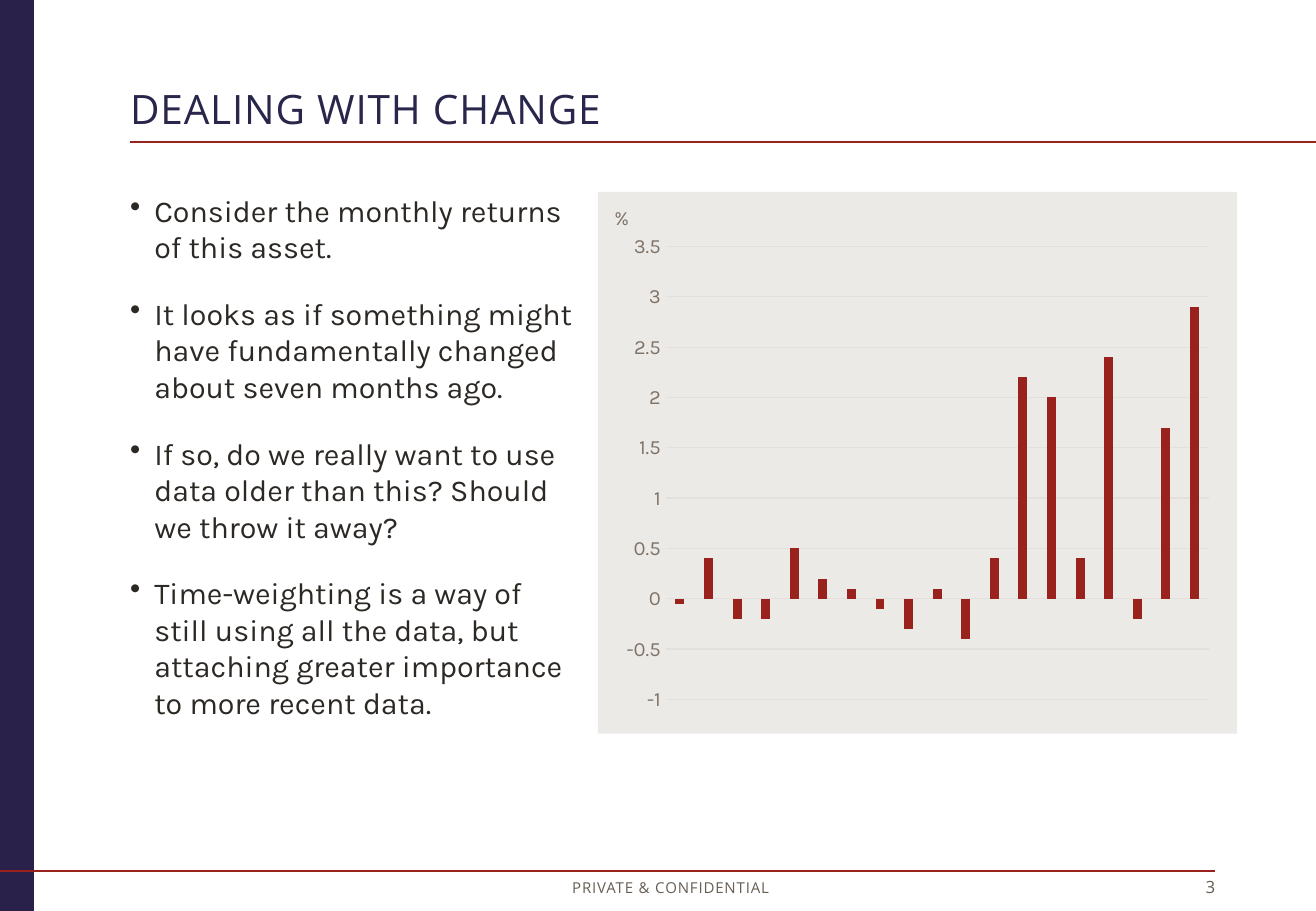
from lxml import etree
from pptx import Presentation, util as u
from pptx.chart.data import CategoryChartData
from pptx.dml.color import RGBColor
from pptx.enum import chart as ch, shapes, text
from pptx.oxml import parse_xml
from pptx.oxml.ns import nsdecls, qn

TITLE = "DEALING WITH CHANGE"
POINTS = [
    "Consider the monthly returns of this asset.",
    "It looks as if something might have fundamentally changed about seven months ago.",
    "If so, do we really want to use data older than this? Should we throw it away?",
    "Time-weighting is a way of still using all the data, but attaching greater "
    "importance to more recent data.",
]
FOOTER, PAGE_NUMBER = "PRIVATE & CONFIDENTIAL", "3"
RETURNS = [-0.05, 0.4, -0.2, -0.2, 0.5, 0.2, 0.1, -0.1, -0.3, 0.1,
           -0.4, 0.4, 2.2, 2, 0.4, 2.4, -0.2, 1.7, 2.9]
COLOURS = {"navy": "29214A", "title": "28264B", "red": "9A221D", "ink": "2C2824",
           "footer": "675E54", "axis": "7F7368", "grid": "E2DFDC", "panel": "ECEAE7"}
HEADING, BODY = "Open Sans", "Karla"

# Page grid, in inches
WIDTH, HEIGHT = 10.83, 7.5
BAND = 0.28
LEFT, RIGHT = 1.07, 10
TITLE_RULE, FOOTER_RULE = 1.17, 7.17
CONTENT_TOP, CONTENT_HEIGHT = 1.58, 4.46
TEXT_WIDTH = 3.69
CHART_LEFT, CHART_WIDTH = 4.92, 5.26
FOOTER_TOP, FOOTER_HEIGHT = 7.22, 0.17
INDENT = 0.2

deck = Presentation()
deck.slide_width, deck.slide_height = u.Inches(WIDTH), u.Inches(HEIGHT)
page = deck.slides.add_slide(deck.slide_layouts[6])


def inches(*lengths):
    return [u.Inches(length) for length in lengths]


def colour(name):
    return RGBColor.from_string(COLOURS[name])


def style(font, size, face, ink):
    font.size, font.name = u.Pt(size), face
    font.color.rgb = colour(ink)


def add_text(lines, area, size, face, ink, align=text.PP_ALIGN.LEFT,
             anchor=text.MSO_ANCHOR.TOP, spacing=0, after=0, line=1, bullet=None):
    frame = page.shapes.add_textbox(*inches(*area)).text_frame
    frame.word_wrap, frame.vertical_anchor = True, anchor
    frame.margin_left = frame.margin_right = frame.margin_top = frame.margin_bottom = 0
    for number, words in enumerate(lines):
        para = frame.add_paragraph() if number else frame.paragraphs[0]
        para.alignment, para.line_spacing = align, line
        para.space_after = u.Pt(after)
        span = para.add_run()
        span.text = words
        style(span.font, size, face, ink)
        if spacing:
            span.font._element.set("spc", str(int(spacing * 100)))
        if bullet:
            props = para._p.get_or_add_pPr()
            props.set("marL", str(u.Inches(INDENT)))
            props.set("indent", str(-u.Inches(INDENT)))
            etree.SubElement(props, qn("a:buChar")).set("char", bullet)


def add_rule(start, end, top, weight):
    rule = page.shapes.add_connector(shapes.MSO_CONNECTOR.STRAIGHT,
                                     *inches(start, top, end, top))
    rule.line.color.rgb, rule.line.width = colour("red"), u.Pt(weight)
    etree.SubElement(rule._element.spPr, qn("a:effectLst"))


def manual_layout(x, y, w=None, h=None):
    target = '<c:layoutTarget val="inner"/>' if w else ""
    size = f'<c:w val="{w}"/><c:h val="{h}"/>' if w else ""
    return parse_xml(
        f'<c:layout {nsdecls("c")}><c:manualLayout>{target}<c:xMode val="edge"/>'
        f'<c:yMode val="edge"/><c:x val="{x}"/><c:y val="{y}"/>{size}'
        '</c:manualLayout></c:layout>')


def panel_fill():
    return parse_xml(
        f'<c:spPr {nsdecls("c", "a")}><a:solidFill><a:srgbClr val="{COLOURS["panel"]}"/>'
        '</a:solidFill><a:ln><a:noFill/></a:ln></c:spPr>')


# Side band, rules and footer
band = page.shapes.add_shape(shapes.MSO_SHAPE.RECTANGLE, *inches(0, 0, BAND, HEIGHT))
band.shadow.inherit = False
band.fill.solid()
band.fill.fore_color.rgb = colour("navy")
band.line.fill.background()
add_rule(0, RIGHT, FOOTER_RULE, 1)
add_rule(LEFT, WIDTH, TITLE_RULE, 1.5)
add_text([PAGE_NUMBER], (9.44, FOOTER_TOP, RIGHT - 9.44, FOOTER_HEIGHT), 10, HEADING,
         "footer", align=text.PP_ALIGN.RIGHT)
add_text([FOOTER], (4.37, FOOTER_TOP + 0.01, 2.3, FOOTER_HEIGHT), 8.9, HEADING,
         "footer", align=text.PP_ALIGN.CENTER, spacing=0.5)

# Chart of monthly returns
data = CategoryChartData()
data.categories = [str(month + 1) for month in range(len(RETURNS))]
data.add_series("Series 1", RETURNS)
chart = page.shapes.add_chart(
    ch.XL_CHART_TYPE.COLUMN_CLUSTERED,
    *inches(CHART_LEFT, CONTENT_TOP, CHART_WIDTH, CONTENT_HEIGHT), data).chart
chart.has_legend = chart.has_title = False
style(chart.font, 10, BODY, "ink")
plot = chart.plots[0]
plot.gap_width, plot.overlap, plot.vary_by_categories = 219, -27, False
bars = plot.series[0]
bars.invert_if_negative = False
bars.format.fill.solid()
bars.format.fill.fore_color.rgb = colour("red")
chart.category_axis.visible = False

axis = chart.value_axis
axis.minimum_scale, axis.maximum_scale, axis.major_unit = -1, 3.5, 0.5
axis.major_tick_mark = axis.minor_tick_mark = ch.XL_TICK_MARK.NONE
axis.tick_labels.number_format = "General"
axis.tick_labels.number_format_is_linked = False
style(axis.tick_labels.font, 12, BODY, "axis")
axis.format.line.fill.background()
axis.major_gridlines.format.line.color.rgb = colour("grid")
axis.major_gridlines.format.line.width = u.Pt(0.75)
axis_title = axis.axis_title
axis_title.text_frame.text = "%"
unit = axis_title.text_frame.paragraphs[0].runs[0]
style(unit.font, 12, BODY, "axis")
unit.font.bold = False
axis_title.text_frame._txBody.bodyPr.set("rot", "0")
for old in axis_title._element.findall(qn("c:layout")):
    axis_title._element.remove(old)
axis_title._element.find(qn("c:tx")).addnext(manual_layout(0.02, 0.015))

# Chart panel and plot area
space = chart._chartSpace
space.chart.addnext(panel_fill())
area = space.chart.plotArea
for old in area.findall(qn("c:layout")):
    area.remove(old)
area.insert(0, manual_layout(0.106, 0.101, 0.85, 0.836))
area.append(panel_fill())

# Title and bullet points
add_text([TITLE], (LEFT, 0.73, 6.91, 0.37), 24, HEADING, "title",
         anchor=text.MSO_ANCHOR.BOTTOM, spacing=0.5, line=0.9)
add_text(POINTS, (LEFT, CONTENT_TOP, TEXT_WIDTH, CONTENT_HEIGHT), 18, BODY, "ink",
         after=18, bullet="•")

deck.save("out.pptx")
